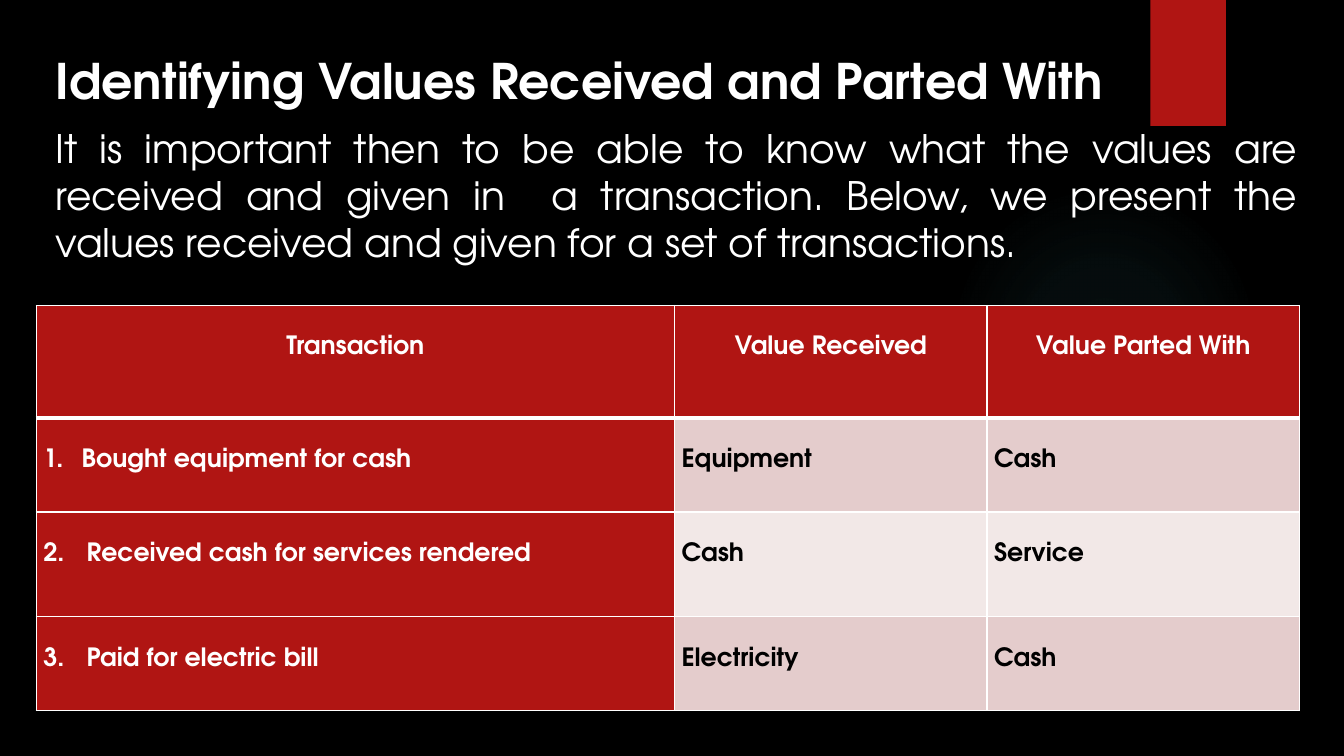
import pptx
import pptx.dml.color
import pptx.enum.shapes
import pptx.enum.text
import pptx.oxml
import pptx.oxml.ns
import pptx.util
from dataclasses import dataclass

Inches, Pt = pptx.util.Inches, pptx.util.Pt
Shape = pptx.enum.shapes.MSO_SHAPE
Align = pptx.enum.text.PP_ALIGN


@dataclass(frozen=True)
class Theme:
    font: str = "TeX Gyre Adventor"
    black: str = "000000"
    white: str = "FFFFFF"
    red: str = "B01513"
    glow: str = "50B9C1"
    bands: tuple = ("E4CCCC", "F2E8E7")
    title_size: int = 35
    body_size: int = 28
    cell_size: int = 18


THEME = Theme()
NAMESPACE = pptx.oxml.ns.nsdecls("a")


def paint(fill, color):
    fill.solid()
    fill.fore_color.rgb = pptx.dml.color.RGBColor.from_string(color)


def style(para, size, color, bold, align):
    para.alignment = align
    para.font.name = THEME.font
    para.font.size = Pt(size)
    para.font.bold = bold
    paint(para.font.fill, color)


deck = pptx.Presentation()
deck.slide_width, deck.slide_height = Inches(13.33), Inches(7.5)
page = deck.slides.add_slide(deck.slide_layouts[1])
paint(page.background.fill, THEME.black)

# Title and body share one left edge and width
left, width = 0.45, 12.52
title, body = page.shapes.title, page.placeholders[1]
texts = [
    (title, 0.45, 0.7, "Identifying Values Received and Parted With",
     THEME.title_size, True, Align.LEFT),
    (body, 1.18, 1.6,
     "It is important then to be able to know what the values are received and "
     "given in  a transaction. Below, we present the values received and given "
     "for a set of transactions.",
     THEME.body_size, False, Align.JUSTIFY),
]
for box, top, height, text, size, bold, align in texts:
    box.left, box.top = Inches(left), Inches(top)
    box.width, box.height = Inches(width), Inches(height)
    frame = box.text_frame
    frame.text = text
    frame.word_wrap = True
    frame.auto_size = pptx.enum.text.MSO_AUTO_SIZE.NONE
    frame.vertical_anchor = pptx.enum.text.MSO_ANCHOR.TOP
    para = frame.paragraphs[0]
    para.space_before = Pt(0)
    style(para, size, THEME.white, bold, align)

body_properties = body.text_frame.paragraphs[0]._p.get_or_add_pPr()
body_properties.set("marL", "0")
body_properties.set("indent", "0")
no_bullet = pptx.oxml.parse_xml(f"<a:buNone {NAMESPACE}/>")
body_properties.find(pptx.oxml.ns.qn("a:defRPr")).addprevious(no_bullet)

# Backdrop: a faint round glow and the red tab at the top
glow = page.shapes.add_shape(
    Shape.OVAL, Inches(9.41), Inches(1.83), Inches(3.08), Inches(3.08))
tab = page.shapes.add_shape(
    Shape.RECTANGLE, Inches(11.41), 0, Inches(0.75), Inches(1.25))
paint(tab.fill, THEME.red)
for backdrop in (glow, tab):
    backdrop.shadow.inherit = False
    backdrop.line.fill.background()
    title.element.addprevious(backdrop.element)

stops = "".join(
    f'<a:gs pos="{share * 1000}"><a:srgbClr val="{THEME.glow}">'
    f'<a:alpha val="{opacity * 1000}"/></a:srgbClr></a:gs>'
    for share, opacity in ((0, 7), (36, 6), (69, 0), (100, 0)))
gradient = pptx.oxml.parse_xml(
    f'<a:gradFill {NAMESPACE} rotWithShape="1"><a:gsLst>{stops}</a:gsLst>'
    '<a:path path="circle"><a:fillToRect l="50000" t="50000" r="50000" b="50000"/>'
    '</a:path></a:gradFill>')
glow.element.spPr.find(pptx.oxml.ns.qn("a:prstGeom")).addnext(gradient)

# Table of transactions; the first column is numbered
rows = [
    ("Transaction", "Value Received", "Value Parted With"),
    ("Bought equipment for cash", "Equipment", "Cash"),
    ("Received cash for services rendered", "Cash", "Service"),
    ("Paid for electric bill", "Electricity", "Cash"),
]
column_widths = (6.33, 3.1, 3.1)
row_heights = (1.12, 0.93, 1.04, 0.93)
number_indents = (0, 0.38, 0.43, 0.43)

table = page.shapes.add_table(
    len(rows), len(column_widths), Inches(0.36), Inches(3.03),
    Inches(sum(column_widths)), Inches(sum(row_heights))).table
table.first_row = table.horz_banding = False
for column, column_width in zip(table.columns, column_widths):
    column.width = Inches(column_width)
for row, row_height in zip(table.rows, row_heights):
    row.height = Inches(row_height)

for r, values in enumerate(rows):
    for c, value in enumerate(values):
        cell = table.cell(r, c)
        is_header = r == 0
        is_red = is_header or c == 0
        cell.text = value
        cell.margin_left = cell.margin_right = Inches(0.07)
        cell.margin_top, cell.margin_bottom = Inches(0.29), 0
        cell.vertical_anchor = pptx.enum.text.MSO_ANCHOR.TOP

        para = cell.text_frame.paragraphs[0]
        para.line_spacing = 1.07
        para.space_after = Pt(8)
        style(para, THEME.cell_size, THEME.white if is_red else THEME.black, True,
              Align.CENTER if is_header else Align.LEFT)
        if c == 0 and not is_header:
            properties = para._p.get_or_add_pPr()
            indent = Inches(number_indents[r])
            properties.set("marL", str(indent))
            properties.set("indent", str(-indent))
            number = pptx.oxml.parse_xml(
                f'<a:buAutoNum {NAMESPACE} type="arabicPeriod" startAt="{r}"/>')
            properties.find(pptx.oxml.ns.qn("a:defRPr")).addprevious(number)

        cell_properties = cell._tc.get_or_add_tcPr()
        for side in "LRTB":
            is_header_rule = (r, side) in ((0, "B"), (1, "T"))
            cell_properties.append(pptx.oxml.parse_xml(
                f'<a:ln{side} {NAMESPACE} w="{Pt(3 if is_header_rule else 1)}">'
                f'<a:solidFill><a:srgbClr val="{THEME.white}"/></a:solidFill>'
                f'</a:ln{side}>'))
        paint(cell.fill, THEME.red if is_red else THEME.bands[(r - 1) % 2])

deck.save("out.pptx")
